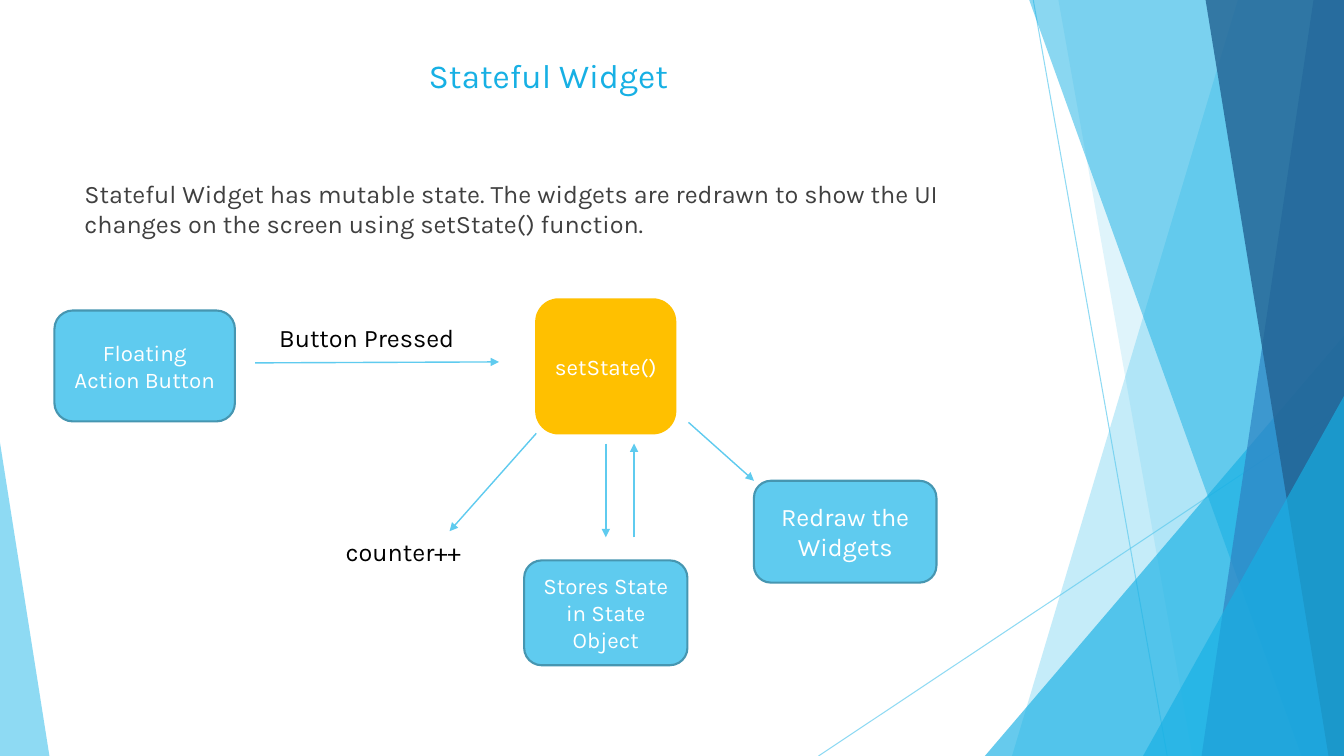
from lxml.etree import SubElement
from pptx import Presentation
from pptx.dml.color import RGBColor
from pptx.enum.shapes import MSO_CONNECTOR, MSO_SHAPE
from pptx.enum.text import MSO_ANCHOR, PP_ALIGN
from pptx.oxml.ns import qn
from pptx.util import Inches, Pt

STRAIGHT = MSO_CONNECTOR.STRAIGHT
TRIANGLE, ROUNDED = MSO_SHAPE.ISOSCELES_TRIANGLE, MSO_SHAPE.ROUNDED_RECTANGLE
TOP, MIDDLE = MSO_ANCHOR.TOP, MSO_ANCHOR.MIDDLE
LEFT, CENTER = PP_ALIGN.LEFT, PP_ALIGN.CENTER

THEME = {
    "font": "Karla",
    "title": 24, "body": 18, "box": 16,
    "sky": RGBColor.from_string("5FCBEF"),
    "azure": RGBColor.from_string("17B0E4"),
    "blue": RGBColor.from_string("2E83C3"),
    "navy": RGBColor.from_string("226292"),
    "outline": RGBColor.from_string("4696B1"),
    "gold": RGBColor.from_string("FFC000"),
    "gray": RGBColor.from_string("404040"),
    "black": RGBColor.from_string("000000"),
    "white": RGBColor.from_string("FFFFFF"),
}

presentation = Presentation()
presentation.slide_width, presentation.slide_height = Inches(13.33), Inches(7.5)
slide = presentation.slides.add_slide(presentation.slide_layouts[6])
shapes = slide.shapes


def place(*shares):
    """Turn alternating percentages of slide width and height into lengths."""
    sides = (presentation.slide_width, presentation.slide_height)
    return [round(sides[index % 2] * share / 100) for index, share in enumerate(shares)]


def write_text(shape, text, size="body", color="black", align=LEFT, anchor=TOP):
    frame = shape.text_frame
    frame.word_wrap = True
    frame.vertical_anchor = anchor
    paragraph = frame.paragraphs[0]
    paragraph.text = text
    paragraph.alignment = align
    paragraph.font.name = THEME["font"]
    paragraph.font.size = Pt(THEME[size])
    paragraph.font.color.rgb = THEME[color]


# Thin backdrop lines and flow arrows: start, end, width, opacity, arrowhead
lines = [
    ((76.88, 0), (86.85, 100), 0.75, 70, False),
    ((100, 53.73), (60.9, 100), 0.75, 70, False),
    ((18.98, 48), (37.13, 47.87), 1, 100, True),
    ((39.9, 57.33), (33.45, 70.27), 1, 100, True),
    ((45.08, 58.67), (45.08, 71.07), 1, 100, True),
    ((47.18, 71.07), (47.18, 58.67), 1, 100, True),
    ((51.23, 55.87), (56.1, 63.6), 1, 100, True),
]
for start, end, width, opacity, has_arrowhead in lines:
    connector = shapes.add_connector(STRAIGHT, *place(*start, *end))
    connector.line.color.rgb = THEME["sky"]
    connector.line.width = Pt(width)
    properties = connector._element.spPr
    color_element = next(properties.iter(qn("a:srgbClr")))
    SubElement(color_element, qn("a:alpha"), val=str(opacity * 1000))
    if has_arrowhead:
        SubElement(properties.find(qn("a:ln")), qn("a:tailEnd"), type="triangle")
    SubElement(properties, qn("a:effectLst"))

# Facets from back to front. A band runs from its slanted left edge (top x,
# bottom x) to the right side; a corner (left, top, width, apex) sits at the bottom.
facets = [
    ((92.1, 75.3), "sky", 36),
    ((78.75, 88.73), "sky", 20),
    ((73.28, 44.4, 26.72, 1), "azure", 66),
    ((76.58, 96.83), "azure", 50),
    ((97.73, 89.4), "blue", 70),
    ((89.7, 98.85), "navy", 80),
    ((85.05, 52.4, 14.95, 1), "azure", 66),
    ((0, 58.53, 3.68, 0), "sky", 70),
]
for geometry, color, opacity in facets:
    if len(geometry) == 2:
        top_x, bottom_x = geometry
        builder = shapes.build_freeform(*place(top_x, 0))
        builder.add_line_segments(
            [place(100, 0), place(100, 100), place(bottom_x, 100)], close=True)
        facet = builder.convert_to_shape()
    else:
        left, top, width, apex = geometry
        facet = shapes.add_shape(TRIANGLE, *place(left, top, width, 100 - top))
        facet.adjustments[0] = apex
    facet.shadow.inherit = False
    facet.line.fill.background()
    facet.fill.solid()
    facet.fill.fore_color.rgb = THEME[color]
    color_element = next(facet._element.spPr.iter(qn("a:srgbClr")))
    SubElement(color_element, qn("a:alpha"), val=str(opacity * 1000))

# Title, explanation and free labels
explanation = ("Stateful Widget has mutable state. The widgets are redrawn to show "
               "the UI changes on the screen using setState() function.")
texts = [
    ((5.55, 6.67, 70.5, 19.2), "Stateful Widget",
     {"size": "title", "color": "azure", "align": CENTER}),
    ((5.55, 22.93, 70.5, 56.53), explanation, {"color": "gray"}),
    ((20.03, 42, 18.45, 5.33), "Button Pressed", {}),
    ((24.98, 70.27, 11.7, 5.33), "counter++", {}),
]
for area, text, text_format in texts:
    write_text(shapes.add_textbox(*place(*area)), text, **text_format)

# Flow boxes
boxes = [
    ((4.05, 41.07, 13.43, 14.67), "Floating Action Button", "sky", "outline", "box"),
    ((39.9, 39.6, 10.35, 17.73), "setState()", "gold", "gold", "box"),
    ((39, 74.13, 12.15, 13.87), "Stores State in State Object", "sky", "outline", "box"),
    ((56.1, 63.6, 13.58, 13.47), "Redraw the Widgets", "sky", "outline", "body"),
]
for area, text, fill, outline, size in boxes:
    box = shapes.add_shape(ROUNDED, *place(*area))
    box.shadow.inherit = False
    box.fill.solid()
    box.fill.fore_color.rgb = THEME[fill]
    box.line.color.rgb = THEME[outline]
    box.line.width = Pt(1.5)
    write_text(box, text, size=size, color="white", align=CENTER, anchor=MIDDLE)

presentation.save("out.pptx")
